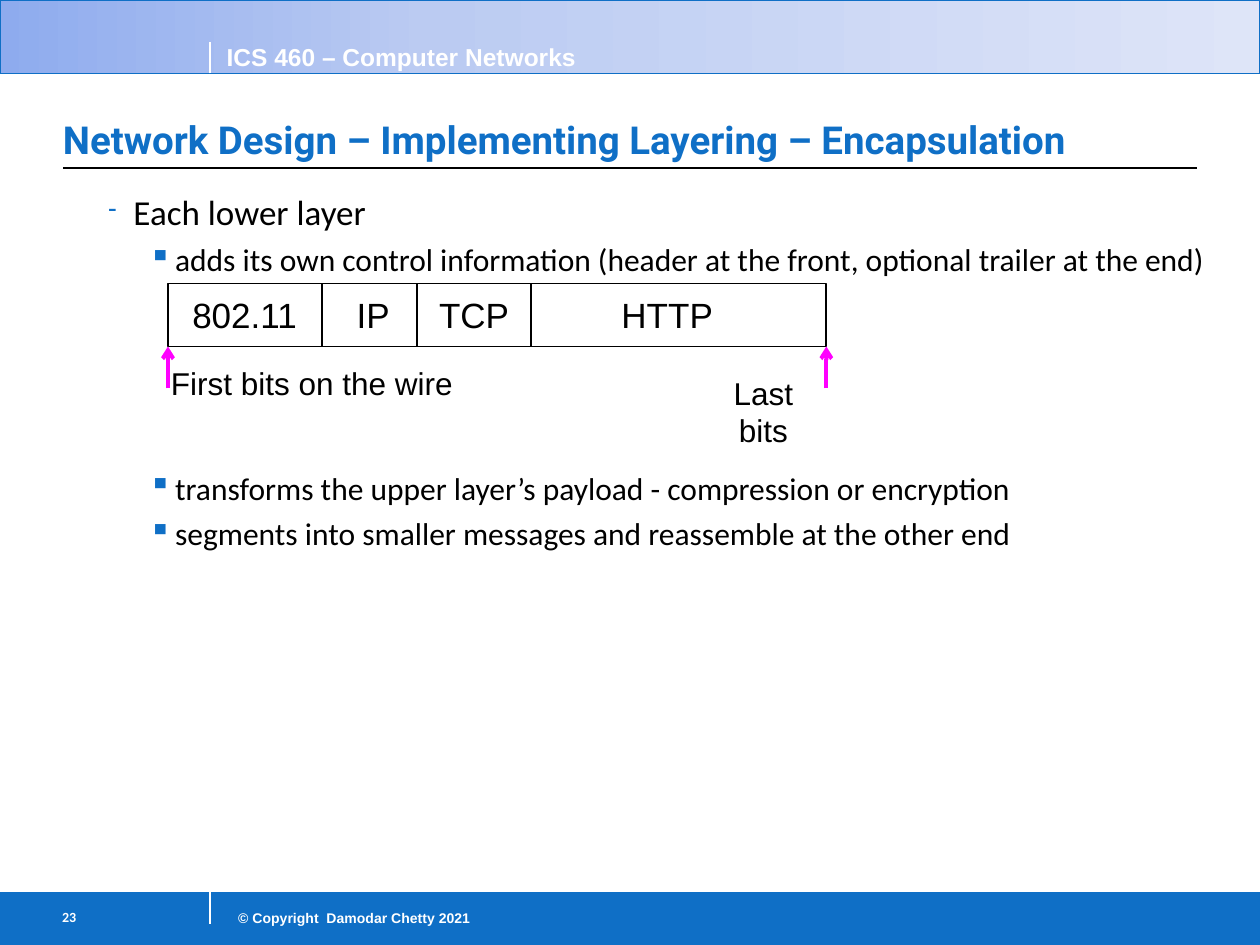
import copy

import pptx
import pptx.dml.color
import pptx.enum.shapes
import pptx.enum.text
import pptx.oxml
import pptx.oxml.ns
import pptx.util

COLORS = {
    "blue": "0F6FC6", "white": "FFFFFF", "black": "000000", "magenta": "FF00FF",
    "band_start": "8EABEE", "band_mid": "BBCBF2", "band_end": "DEE5F8",
}
COLS, ROWS = 120, 90  # grid cells are 1/12 inch square
WIDTH, HEIGHT = pptx.util.Inches(10), pptx.util.Inches(7.5)
HEADER, FOOTER, DIVIDER = 7, 85, 20  # band edges (rows), divider (column)
PACKET_LEFT, PACKET_TOP, PACKET_BOTTOM = 16, 27, 33
# Packet fields: name, right edge, label left, label width (columns)
FIELDS = [
    ("802.11", 30.7, 16, 14.6),
    ("IP", 39.7, 30.1, 10.9),
    ("TCP", 50.6, 39.7, 10.9),
    ("HTTP", 78.7, 56, 15.1),
]
# Body text: words, level, space before (points)
BODY = [
    ("Each lower layer", 1, 0),
    ("adds its own control information (header at the front, optional trailer at the end)", 2, 3.6),
    ("transforms the upper layer’s payload - compression or encryption", 2, 108),
    ("segments into smaller messages and reassemble at the other end", 2, 3.6),
]
# Level: size, left indent, hanging indent (inches), bullet, bullet size (%)
LEVELS = {1: (20, 0.51, 0.2, "-", 70), 2: (18, 0.84, 0.21, "▪", 100)}
ALIGN = pptx.enum.text.PP_ALIGN
ANCHOR = pptx.enum.text.MSO_ANCHOR


def rgb(name):
    return pptx.dml.color.RGBColor.from_string(COLORS[name])


def x(col):
    return round(WIDTH * col / COLS)


def y(row):
    return round(HEIGHT * row / ROWS)


def add_xml(parent, tag, **attrs):
    child = pptx.oxml.parse_xml(f"<a:{tag} {pptx.oxml.ns.nsdecls('a')}/>")
    for name, value in attrs.items():
        child.set(name, str(value))
    parent.append(child)
    return child


def add_rect(slide, left, top, width, height, fill=None, line="blue", weight=0.75):
    sp = slide.shapes.add_shape(pptx.enum.shapes.MSO_SHAPE.RECTANGLE,
                                x(left), y(top), x(width), y(height))
    sp.shadow.inherit = False
    if fill:
        sp.fill.solid()
        sp.fill.fore_color.rgb = rgb(fill)
    else:
        sp.fill.background()
    sp.line.color.rgb = rgb(line)
    sp.line.width = pptx.util.Pt(weight)
    return sp


def set_gradient(sp, stops):
    sp.fill.gradient()
    sp.fill.gradient_angle = 0
    stop_list = sp._element.spPr.find(".//" + pptx.oxml.ns.qn("a:gsLst"))
    while len(stop_list) < len(stops):
        stop_list.append(copy.deepcopy(stop_list[0]))
    for stop, (position, color) in zip(sp.fill.gradient_stops, stops):
        stop.position = position
        stop.color.rgb = rgb(color)


def add_line(slide, x1, y1, x2, y2, color, weight, arrow=False):
    line = slide.shapes.add_connector(pptx.enum.shapes.MSO_CONNECTOR.STRAIGHT,
                                      x(x1), y(y1), x(x2), y(y2))
    line.line.color.rgb = rgb(color)
    line.line.width = pptx.util.Pt(weight)
    if arrow:
        add_xml(line.line._get_or_add_ln(), "tailEnd", type="arrow")
    add_xml(line._element.spPr, "effectLst")


def add_run(p, text, size, color="black", font="Arial", bold=False):
    r = p.add_run()
    r.text = text
    r.font.name = font
    r.font.size = pptx.util.Pt(size)
    r.font.bold = bold
    r.font.color.rgb = rgb(color)


def add_frame(slide, left, top, width, height, insets=(0.1, 0.05, 0.1, 0.05)):
    tf = slide.shapes.add_textbox(x(left), y(top), x(width), y(height)).text_frame
    tf.word_wrap = True
    tf.margin_left, tf.margin_top, tf.margin_right, tf.margin_bottom = map(
        pptx.util.Inches, insets)
    return tf


def add_label(slide, box, text, size, align=ALIGN.CENTER, **style):
    p = add_frame(slide, *box).paragraphs[0]
    p.alignment = align
    add_run(p, text, size, **style)


def add_bullet(p, text, level, before):
    size, left, hanging, char, bullet_size = LEVELS[level]
    pPr = p._p.get_or_add_pPr()
    pPr.set("marL", str(pptx.util.Inches(left)))
    pPr.set("indent", str(-pptx.util.Inches(hanging)))
    add_xml(add_xml(pPr, "buClr"), "srgbClr", val=COLORS["blue"])
    add_xml(pPr, "buSzPct", val=bullet_size * 1000)
    add_xml(pPr, "buChar", char=char)
    p.level = level
    p.line_spacing = 1.04
    p.space_before = pptx.util.Pt(before)
    add_run(p, text, size, font="Calibri")


def add_bands(slide):
    add_rect(slide, 0, FOOTER, COLS, ROWS - FOOTER, fill="blue")
    header = add_rect(slide, 0, 0, COLS, HEADER)
    set_gradient(header, [(0, "band_start"), (0.34, "band_mid"), (1, "band_end")])
    for row in (HEADER, FOOTER):
        add_line(slide, 0, row, COLS, row, "blue", 0.5)
    for top in (HEADER - 3, FOOTER):
        add_line(slide, DIVIDER, top + 3, DIVIDER, top, "white", 0.75)
    white = {"color": "white", "bold": True}
    add_label(slide, (20.4, 3.4, 48.6, 4.1), "ICS 460 – Computer Networks", 14,
              ALIGN.LEFT, **white)
    add_label(slide, (DIVIDER, 86, 26, 2.9), "© Copyright  Damodar Chetty 2021", 8,
              ALIGN.RIGHT, **white)
    number = add_frame(slide, 4, 85.7, 16, 4.2, (0.16, 0.07, 0.1, 0.05))
    add_run(number.paragraphs[0], "23", 8, font="Calibri", **white)


def add_title(slide):
    tf = add_frame(slide, 6, 7.3, 108, 8.7, (0, 0.05, 0, 0.05))
    tf.vertical_anchor = ANCHOR.BOTTOM
    add_run(tf.paragraphs[0], "Network Design – Implementing Layering – Encapsulation",
            22, "blue", "Roboto", True)
    add_line(slide, 6, 16, 114, 16, "black", 0.75)


def add_body(slide):
    tf = add_frame(slide, 6, 17.4, 114, 64.7, (0.05,) * 4)
    for i, item in enumerate(BODY):
        add_bullet(tf.add_paragraph() if i else tf.paragraphs[0], *item)


def add_packet(slide):
    right = FIELDS[-1][1]
    add_rect(slide, PACKET_LEFT, PACKET_TOP, right - PACKET_LEFT,
             PACKET_BOTTOM - PACKET_TOP, line="black", weight=1)
    for name, edge, left, width in FIELDS:
        add_label(slide, (left, 27.4, width, 5.3), name, 20)
        if edge != right:
            add_line(slide, edge, PACKET_TOP, edge, PACKET_BOTTOM, "black", 1)
    # Arrows and captions for the two ends of the packet
    for col in (PACKET_LEFT, right):
        add_line(slide, col, PACKET_BOTTOM + 4, col, PACKET_BOTTOM, "magenta", 2.25, arrow=True)
    add_label(slide, (15, 34.1, 29.4, 4.8), "First bits on the wire", 18)
    add_label(slide, (66, 35, 13.4, 4.8), "Last bits", 18)


def main():
    prs = pptx.Presentation()
    prs.slide_width, prs.slide_height = WIDTH, HEIGHT
    slide = prs.slides.add_slide(prs.slide_layouts[6])
    add_bands(slide)
    add_title(slide)
    add_body(slide)
    add_packet(slide)
    prs.save("out.pptx")


if __name__ == "__main__":
    main()
